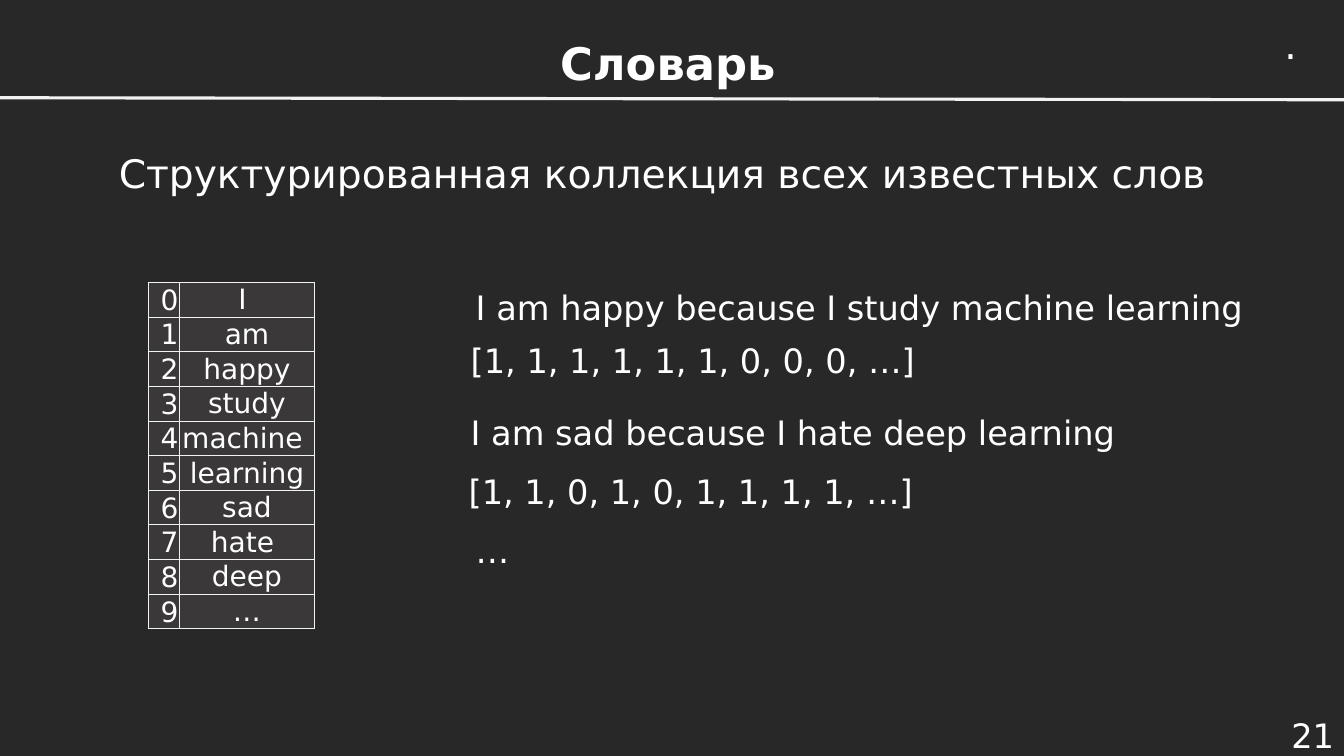
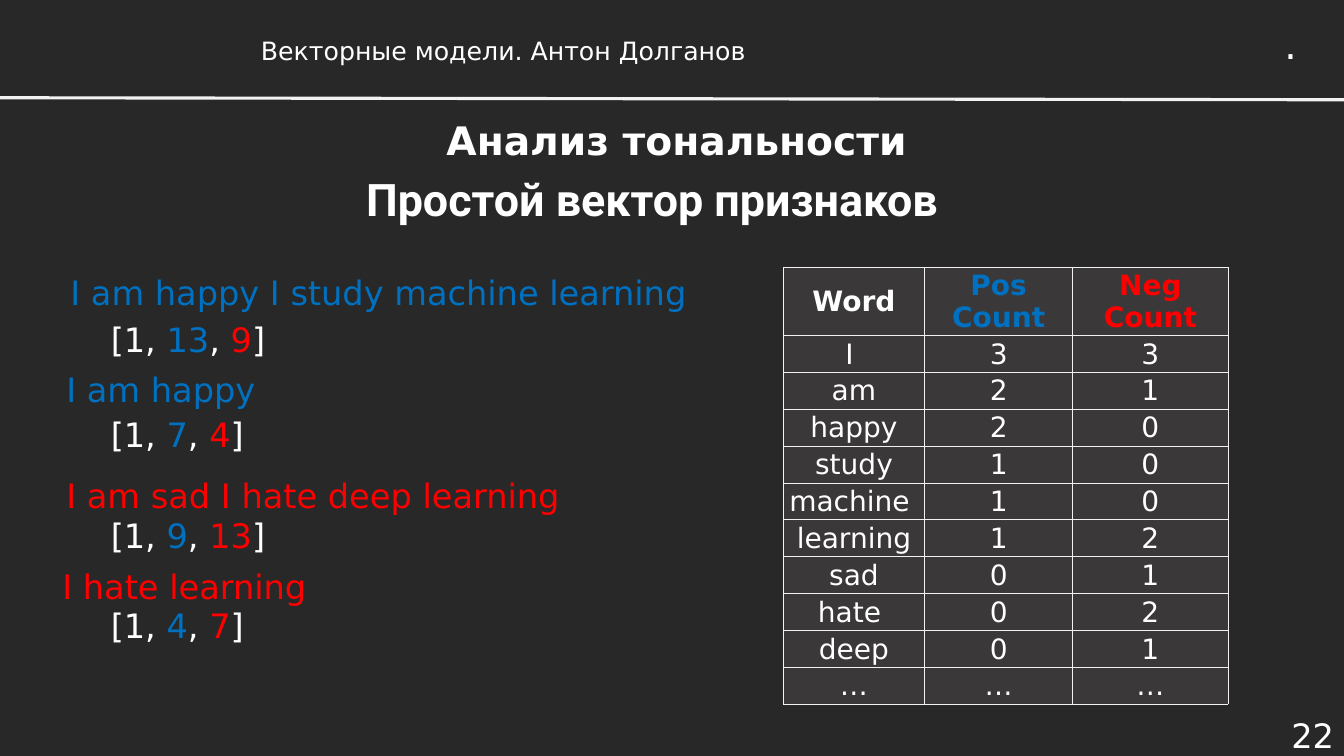
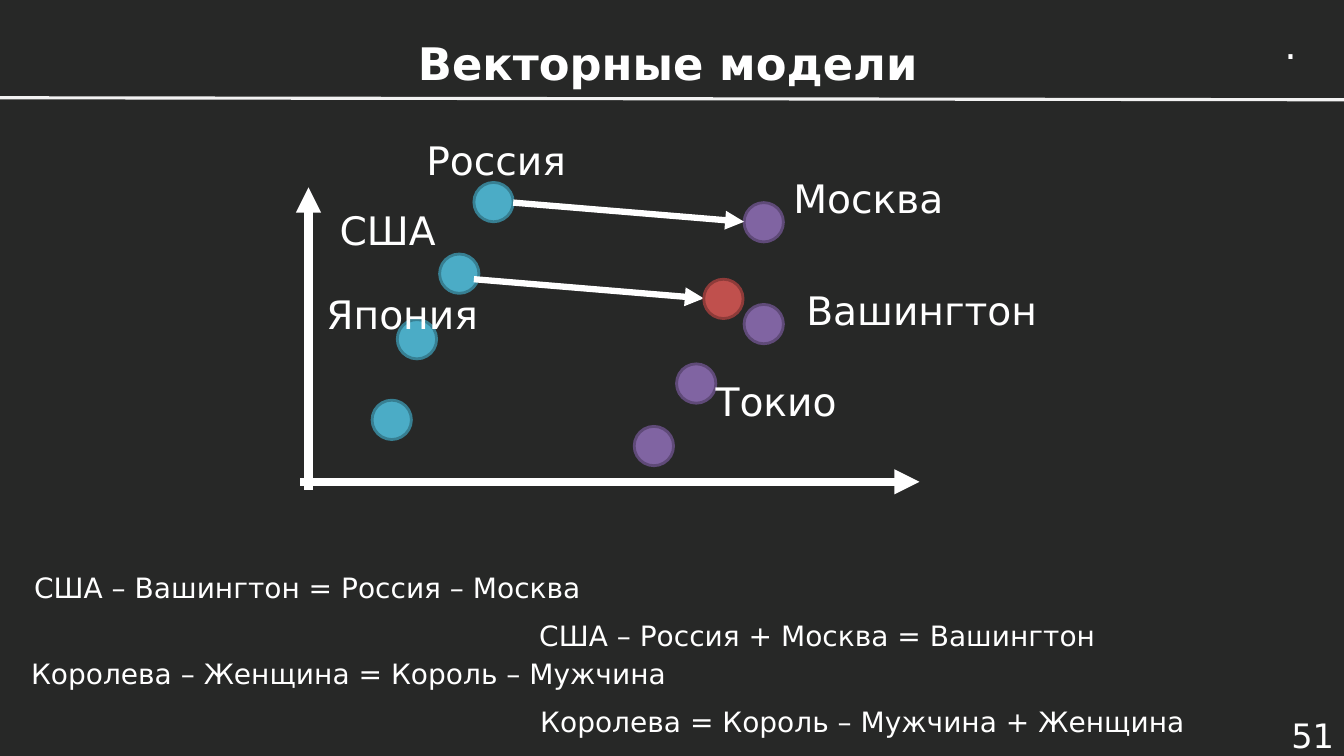
"""Build three dark slides on dictionaries, sentiment vectors and vector models."""
import pptx
import pptx.dml.color
import pptx.enum.shapes
import pptx.enum.text
import pptx.oxml
import pptx.oxml.ns
import pptx.util

PX = 9144
WIDTH, HEIGHT = 1333, 750
FONT = "DejaVu Sans"
DOT = 39
COLORS = {
    "background": "272827", "white": "FFFFFF", "rule": "F2F2F2", "cell": "3A3838",
    "positive": "0070C0", "negative": "FF0000",
    "country": "4BACC6", "country_edge": "377F92",
    "capital": "8064A2", "capital_edge": "5F4A78",
    "result": "C0504D", "result_edge": "8E3B39",
}
ALIGN = pptx.enum.text.PP_ALIGN
ANCHOR = pptx.enum.text.MSO_ANCHOR
WORDS = ["I ", "am", "happy", "study", "machine ", "learning", "sad", "hate ", "deep", "…"]
POSITIVE_COUNTS = [3, 2, 2, 1, 1, 1, 0, 0, 0, "…"]
NEGATIVE_COUNTS = [3, 1, 0, 0, 0, 2, 1, 2, 1, "…"]


def emu(pixels):
    """Turn px into EMU."""
    return pptx.util.Emu(round(pixels * PX))


def rgb(name):
    """Look up a named colour."""
    return pptx.dml.color.RGBColor.from_string(COLORS[name])


def write_text(frame, text, size=24, color="white", bold=False, font=FONT,
               align=ALIGN.LEFT, anchor=ANCHOR.TOP, wrap=True):
    """Fill a text frame from a string or a list of (text, colour) runs."""
    frame.word_wrap = wrap
    frame.vertical_anchor = anchor
    pieces = [(text, color)] if isinstance(text, str) else text
    paragraph = frame.paragraphs[0]
    paragraph.alignment = align
    for piece, piece_color in pieces:
        for index, line in enumerate(piece.split("\n")):
            if index:
                paragraph = frame.add_paragraph()
                paragraph.alignment = align
            run = paragraph.add_run()
            run.text = line
            run.font.name = font
            run.font.size = pptx.util.Pt(size)
            run.font.bold = bold
            run.font.color.rgb = rgb(piece_color)


def add_text(slide, text, left, top, width, height=None, size=24, **style):
    """Add a text box, one line high unless a height is given."""
    height = height or 10 + size * 5 / 3
    shape = slide.shapes.add_textbox(emu(left), emu(top), emu(width), emu(height))
    write_text(shape.text_frame, text, size=size, **style)


def add_line(slide, start, end, color="white", weight=6, arrow=True):
    """Add a straight line, with an arrowhead at its end if asked."""
    connector = slide.shapes.add_connector(
        pptx.enum.shapes.MSO_CONNECTOR.STRAIGHT, *map(emu, (*start, *end)))
    connector.line.color.rgb = rgb(color)
    connector.line.width = pptx.util.Pt(weight)
    namespace = pptx.oxml.ns.nsdecls("a")
    properties = connector.element.spPr
    if arrow:
        properties.find(pptx.oxml.ns.qn("a:ln")).append(
            pptx.oxml.parse_xml(f'<a:tailEnd {namespace} type="triangle"/>'))
    properties.append(pptx.oxml.parse_xml(f"<a:effectLst {namespace}/>"))


def format_cell(cell, text, **style):
    """Write, fill and outline one table cell."""
    cell.margin_left = cell.margin_right = cell.margin_top = emu(1)
    cell.margin_bottom = 0
    cell.fill.solid()
    cell.fill.fore_color.rgb = rgb("cell")
    anchor = style.pop("anchor", ANCHOR.MIDDLE)
    write_text(cell.text_frame, text, size=20, **style)
    cell.vertical_anchor = anchor
    properties = cell._tc.get_or_add_tcPr()
    for index, side in enumerate("LRTB"):
        properties.insert(index, pptx.oxml.parse_xml(
            f'<a:ln{side} {pptx.oxml.ns.nsdecls("a")} w="6350"><a:solidFill>'
            f'<a:srgbClr val="{COLORS["rule"]}"/></a:solidFill></a:ln{side}>'))


def add_grid(slide, left, top, columns, heights, rows, style_of):
    """Add a table whose cell formats come from style_of(row, column)."""
    table = slide.shapes.add_table(len(rows), len(columns), emu(left), emu(top),
                                   emu(sum(columns)), emu(sum(heights))).table
    table.first_row = table.horz_banding = False
    for column, width in zip(table.columns, columns):
        column.width = emu(width)
    for row, height in zip(table.rows, heights):
        row.height = emu(height)
    for row_index, values in enumerate(rows):
        for column_index, value in enumerate(values):
            format_cell(table.cell(row_index, column_index), str(value),
                        **style_of(row_index, column_index))


def add_base(presentation, number):
    """Add a slide with the header rule, the corner dot and its number."""
    slide = presentation.slides.add_slide(presentation.slide_layouts[6])
    add_text(slide, str(number), 1228, 708, 105, 42, align=ALIGN.RIGHT, anchor=ANCHOR.MIDDLE)
    add_line(slide, (0, 97), (WIDTH, 99), color="rule", weight=2.25, arrow=False)
    add_text(slide, ".", 1264, 15, 34, size=28, wrap=False)
    return slide


def add_header(slide, text, size=32, bold=True, align=ALIGN.CENTER):
    """Write the heading above the rule."""
    add_text(slide, text, 249, 30, 827, size=size, bold=bold, align=align)


def add_dictionary(slide, left, top):
    """Add the numbered word list."""
    def style_of(row, column):
        """Put numbers at the bottom right and words in the centre."""
        if column:
            return {"align": ALIGN.CENTER}
        return {"align": ALIGN.RIGHT, "anchor": ANCHOR.BOTTOM}

    add_grid(slide, left, top, [31, 134], [34.2] * len(WORDS), list(enumerate(WORDS)), style_of)


def add_encodings(slide, left, top):
    """Add the sentences with their one-hot vectors."""
    for text, x, y in [
        ("I am happy because I study machine learning", 7, 0),
        ("[1, 1, 1, 1, 1, 1, 0, 0, 0, …]", 2, 52),
        ("I am sad because I hate deep learning", 2, 124),
        ("[1, 1, 0, 1, 0, 1, 1, 1, 1, …]", 0, 182),
        ("…", 7, 241),
    ]:
        add_text(slide, text, left + x, top + y, 852)


def add_reviews(slide, left, top):
    """Add the coloured sentences, each with its feature vector below."""
    for text, color, x, y, vector_y, positive, negative in [
        ("I am happy I study machine learning", "positive", 8, 0, 46, "13", "9"),
        ("I am happy", "positive", 4, 96, 141, "7", "4"),
        ("I am sad I hate deep learning", "negative", 4, 201, 241, "9", "13"),
        ("I hate learning", "negative", 0, 292, 330, "4", "7"),
    ]:
        add_text(slide, text, left + x, top + y, 685, color=color)
        vector = [("[1, ", "white"), (positive, "positive"), (", ", "white"),
                  (negative, "negative"), ("]", "white")]
        add_text(slide, vector, left + 48, top + vector_y, 205)


def add_counts(slide, left, top):
    """Add the table of word counts by sentiment."""
    def style_of(row, column):
        """Give the header row bold text and sentiment colours."""
        color = "white" if row else ("white", "positive", "negative")[column]
        return {"align": ALIGN.CENTER, "bold": row == 0, "color": color}

    rows = [("Word", "Pos\nCount", "Neg\nCount"),
            *zip(WORDS, POSITIVE_COUNTS, NEGATIVE_COUNTS)]
    add_grid(slide, left, top, [140, 147, 154], [67] + [36.6] * len(WORDS), rows, style_of)


def add_dot(slide, left, top, kind):
    """Add one point of the vector space."""
    shape = slide.shapes.add_shape(pptx.enum.shapes.MSO_SHAPE.OVAL,
                                   *map(emu, (left, top, DOT, DOT)))
    shape.shadow.inherit = False
    shape.fill.solid()
    shape.fill.fore_color.rgb = rgb(kind)
    shape.line.color.rgb = rgb(kind + "_edge")
    shape.line.width = pptx.util.Pt(2)


def add_vector_space(slide, left, top):
    """Add the axes, points, arrows and place names."""
    points = {
        "country": [(172, 51), (138, 122), (96, 187), (71, 267)],
        "capital": [(373, 231), (440, 172), (440, 71), (331, 293)],
    }
    lines = [((0, 348), (614, 348), 6), ((8, 356), (8, 56), 6),
             ((211, 71), (440, 90), 4.5), ((172, 147), (400, 166), 4.5)]
    labels = [("Россия", 115, 0), ("США", 29, 70), ("Япония", 16, 153),
              ("Москва", 479, 38), ("Вашингтон", 492, 149), ("Токио", 402, 239)]
    for kind, places in points.items():
        for x, y in places:
            add_dot(slide, left + x, top + y, kind)
    for start, end, weight in lines:
        add_line(slide, (left + start[0], top + start[1]),
                 (left + end[0], top + end[1]), weight=weight)
    add_dot(slide, left + 400, top + 147, "result")
    for text, x, y in labels:
        add_text(slide, text, left + x, top + y, 287, size=28)


def add_equations(slide, left, top):
    """Add the word equations in two staggered columns."""
    for text, x, y in [
        ("США – Вашингтон = Россия – Москва", 3, 0),
        ("США – Россия + Москва = Вашингтон", 504, 48),
        ("Королева – Женщина = Король – Мужчина", 0, 85),
        ("Королева = Король – Мужчина + Женщина", 505, 133),
    ]:
        add_text(slide, text, left + x, top + y, 770, size=20)


def build_dictionary_slide(presentation):
    """Build the slide on the dictionary."""
    slide = add_base(presentation, 21)
    add_header(slide, "Словарь")
    add_text(slide, "Структурированная коллекция всех известных слов", 108, 143, 1223, size=28)
    add_dictionary(slide, 147, 280)
    add_encodings(slide, 455, 280)


def build_sentiment_slide(presentation):
    """Build the slide on sentiment features."""
    slide = add_base(presentation, 22)
    add_header(slide, "Векторные модели. Антон Долганов", size=18, bold=False, align=ALIGN.LEFT)
    add_text(slide, "Анализ тональности", 433, 110, 512, size=28, bold=True)
    add_text(slide, "Простой вектор признаков", 265, 152, 764, 91, size=32, bold=True,
             font="Roboto", align=ALIGN.CENTER, anchor=ANCHOR.MIDDLE)
    add_reviews(slide, 52, 265)
    add_counts(slide, 777, 265)


def build_vector_slide(presentation):
    """Build the slide on vector models."""
    slide = add_base(presentation, 51)
    add_header(slide, "Векторные модели")
    add_vector_space(slide, 298, 130)
    add_equations(slide, 21, 561)


def main():
    """Build and save the presentation."""
    presentation = pptx.Presentation()
    presentation.slide_width, presentation.slide_height = emu(WIDTH), emu(HEIGHT)
    background = presentation.slide_master.background.fill
    background.solid()
    background.fore_color.rgb = rgb("background")
    build_dictionary_slide(presentation)
    build_sentiment_slide(presentation)
    build_vector_slide(presentation)
    presentation.save("out.pptx")


if __name__ == "__main__":
    main()
